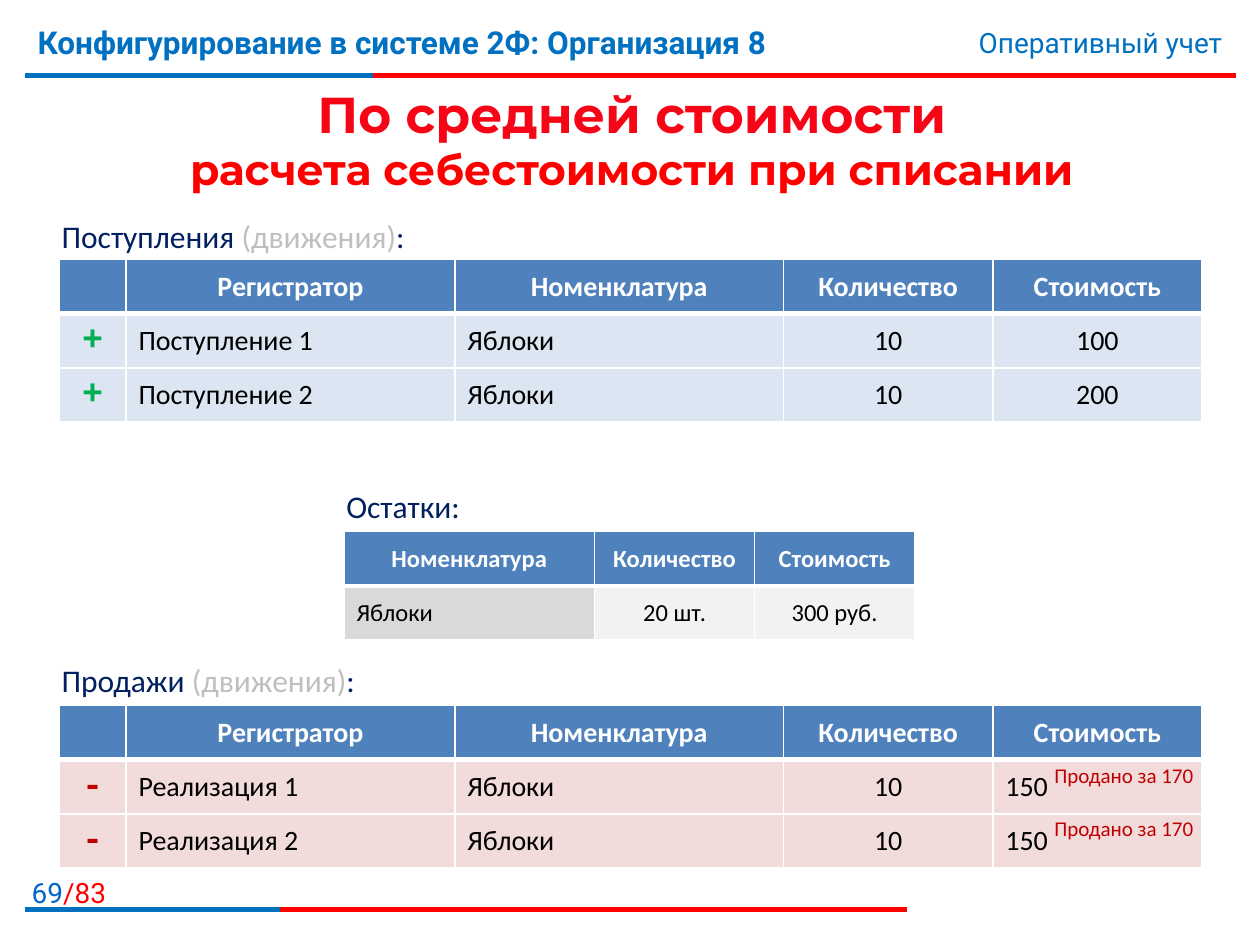
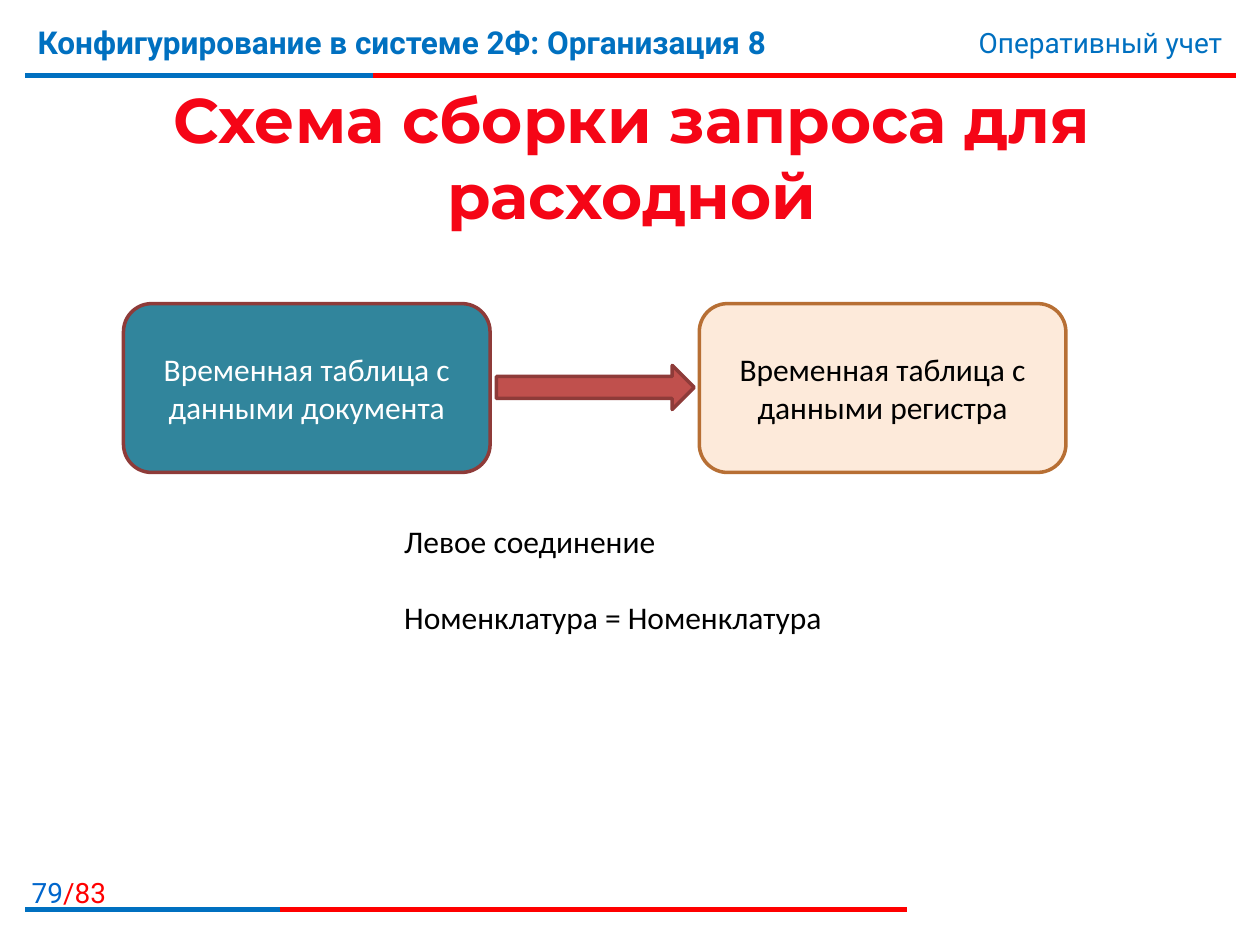
from dataclasses import dataclass
from typing import NamedTuple

import lxml.etree
import pptx
import pptx.dml.color
import pptx.enum.shapes
import pptx.enum.text
import pptx.oxml.ns
import pptx.util

Inches, Pt = pptx.util.Inches, pptx.util.Pt
Shape = pptx.enum.shapes.MSO_SHAPE
Align = pptx.enum.text.PP_ALIGN
Anchor = pptx.enum.text.MSO_ANCHOR
qn = pptx.oxml.ns.qn

WHITE, BLACK = "FFFFFF", "000000"
RED, BLUE, PAGE_BLUE = "FF0000", "0070C0", "0066CC"
TITLE_RED, DARK_RED, GREEN = "F50516", "C00000", "00B050"
NAVY, GREY = "002060", "BFBFBF"
TABLE_BLUE, BORDER_RED = "4F81BD", "8E3B39"
BODY, HEAD, TITLE, MARK = "Calibri", "Roboto", "Montserrat", "Courier New"
PAGE_COUNT = 83


class Box(NamedTuple):
    left: float
    top: float
    width: float
    height: float

    def lengths(self) -> list:
        return [Inches(v) for v in self]


class Style(NamedTuple):
    size: float
    color: str = BLACK
    font: str = BODY
    bold: bool = False


class Rule(NamedTuple):
    y: float
    blue_end: float
    red_end: float


@dataclass
class Register:
    """A table with its caption; a leading sign column is used when sign is set."""
    caption: str
    note: str
    caption_box: Box
    left: float
    top: float
    widths: list
    size: float
    header: list
    rows: list
    fills: list
    centred: set
    sign: str = ""
    sign_color: str = BLACK


@dataclass
class Node:
    text: str
    left: float
    fill: str
    line: str
    color: str


RULES = [Rule(0.6, 2.96, 9.81), Rule(7.22, 2.22, 7.2)]
RULE_LEFT = 0.2
ROW_HEIGHT = 0.43
MOVE_WIDTHS = [0.53, 2.61, 2.61, 1.66, 1.66]
MOVE_HEADER = ["", "Регистратор", "Номенклатура", "Количество", "Стоимость"]

REGISTERS = [
    Register("Поступления", "(движения)", Box(0.39, 1.67, 2.95, 0.4), 0.47, 2.06,
             MOVE_WIDTHS, 16, MOVE_HEADER,
             [["+", "Поступление 1", "Яблоки", "10", "100"],
              ["+", "Поступление 2", "Яблоки", "10", "200"]],
             ["DCE6F2"] * 5, {0, 3, 4}, "+", GREEN),
    Register("Остатки", "", Box(2.65, 3.82, 1.11, 0.4), 2.73, 4.22,
             [1.99, 1.27, 1.27], 14, MOVE_HEADER[2:],
             [["Яблоки", "20 шт.", "300 руб."]],
             ["D9D9D9", "F2F2F2", "F2F2F2"], {1, 2}),
    Register("Продажи", "(движения)", Box(0.39, 5.2, 2.56, 0.4), 0.47, 5.6,
             MOVE_WIDTHS, 16, MOVE_HEADER,
             [["-", "Реализация 1", "Яблоки", "10", "150"],
              ["-", "Реализация 2", "Яблоки", "10", "150"]],
             ["F2DCDB"] * 5, {0, 3}, "-", DARK_RED),
]

NODES = [
    Node("Временная таблица с данными документа", 0.98, "31859C", BORDER_RED, WHITE),
    Node("Временная таблица с данными регистра", 5.55, "FDEADA", "B76F34", BLACK),
]


def rgb(color: str) -> pptx.dml.color.RGBColor:
    return pptx.dml.color.RGBColor.from_string(color)


def set_font(font, style: Style) -> None:
    font.size = Pt(style.size)
    font.name = style.font
    font.bold = style.bold
    font.color.rgb = rgb(style.color)


def write(p, text: str, style: Style, align=Align.LEFT) -> None:
    p.text = text
    p.alignment = align
    set_font(p.font, style)


def add_run(p, text: str, style: Style) -> None:
    r = p.add_run()
    r.text = text
    set_font(r.font, style)


def add_box(slide, box: Box, wrap: bool = True, anchor=Anchor.TOP):
    """Add an empty text box and return its text frame."""
    tf = slide.shapes.add_textbox(*box.lengths()).text_frame
    tf.word_wrap = wrap
    tf.vertical_anchor = anchor
    return tf


def add_label(slide, box: Box, text: str, style: Style, align=Align.LEFT,
              wrap: bool = True) -> None:
    write(add_box(slide, box, wrap).paragraphs[0], text, style, align)


def add_line(slide, end: float, y: float, color: str) -> None:
    line = slide.shapes.add_connector(
        pptx.enum.shapes.MSO_CONNECTOR.STRAIGHT,
        Inches(RULE_LEFT), Inches(y), Inches(end), Inches(y))
    line.line.color.rgb = rgb(color)
    line.line.width = Pt(3)
    lxml.etree.SubElement(line._element.spPr, qn("a:effectLst"))


def add_shape(slide, kind, box: Box, fill: str, line: str):
    sp = slide.shapes.add_shape(kind, *box.lengths())
    sp.shadow.inherit = False
    sp.fill.solid()
    sp.fill.fore_color.rgb = rgb(fill)
    sp.line.color.rgb = rgb(line)
    sp.line.width = Pt(2)
    return sp


def add_base_slide(prs, page: int):
    """Add a slide with the header, the two-colour rules and the page number."""
    slide = prs.slides.add_slide(prs.slide_layouts[6])
    for rule in RULES:
        add_line(slide, rule.red_end, rule.y, RED)
        add_line(slide, rule.blue_end, rule.y, BLUE)
    p = add_box(slide, Box(0, 6.9, 0.94, 0.32)).paragraphs[0]
    p.alignment = Align.RIGHT
    add_run(p, str(page), Style(16, PAGE_BLUE, HEAD))
    add_run(p, f"/{PAGE_COUNT}", Style(16, RED, HEAD))
    add_label(slide, Box(0.2, 0.13, 7.4, 0.62),
              "Конфигурирование в системе 2Ф: Организация 8",
              Style(18, BLUE, HEAD, True))
    add_label(slide, Box(5.94, 0.15, 3.86, 0.37), "Оперативный учет",
              Style(16, BLUE, HEAD), Align.RIGHT)
    return slide


def add_title(slide, box: Box, lines: list) -> None:
    p = add_box(slide, box, anchor=Anchor.MIDDLE).paragraphs[0]
    p.alignment = Align.CENTER
    for i, (text, size, color) in enumerate(lines):
        if i:
            p.add_line_break()
        add_run(p, text, Style(size, color, TITLE, True))


def set_borders(cell, bottom: float) -> None:
    """Give a cell white borders: 1 pt, with its own width at the bottom."""
    tc_pr = cell._tc.get_or_add_tcPr()
    for i, side in enumerate(("lnL", "lnR", "lnT", "lnB")):
        width = bottom if side == "lnB" else 1
        ln = lxml.etree.Element(qn(f"a:{side}"), w=str(Pt(width)))
        fill = lxml.etree.SubElement(ln, qn("a:solidFill"))
        lxml.etree.SubElement(fill, qn("a:srgbClr"), val=WHITE)
        tc_pr.insert(i, ln)


def fill_cell(cell, text: str, fill: str, style: Style, align, bottom: float) -> None:
    cell.fill.solid()
    cell.fill.fore_color.rgb = rgb(fill)
    cell.vertical_anchor = Anchor.MIDDLE
    write(cell.text_frame.paragraphs[0], text, style, align)
    set_borders(cell, bottom)


def add_register(slide, reg: Register) -> None:
    n_rows = len(reg.rows) + 1
    box = Box(reg.left, reg.top, sum(reg.widths), n_rows * ROW_HEIGHT)
    table = slide.shapes.add_table(n_rows, len(reg.widths), *box.lengths()).table
    for row in table.rows:
        row.height = Inches(ROW_HEIGHT)
    for col, width in enumerate(reg.widths):
        table.columns[col].width = Inches(width)
        fill_cell(table.cell(0, col), reg.header[col], TABLE_BLUE,
                  Style(reg.size, WHITE, bold=True), Align.CENTER, 3)
    for i, values in enumerate(reg.rows, 1):
        for col, value in enumerate(values):
            cell = table.cell(i, col)
            style = Style(reg.size)
            if reg.sign and col == 0:
                style = Style(20, reg.sign_color, MARK, True)
                cell.margin_left = cell.margin_right = 0
                cell.margin_top = cell.margin_bottom = 0
            align = Align.CENTER if col in reg.centred else Align.LEFT
            fill_cell(cell, value, reg.fills[col], style, align, 1)

    caption = Style(18, NAVY)
    if not reg.note:
        add_label(slide, reg.caption_box, f"{reg.caption}:", caption, wrap=False)
        return
    p = add_box(slide, reg.caption_box, wrap=False).paragraphs[0]
    add_run(p, f"{reg.caption} ", caption)
    add_run(p, reg.note, Style(18, GREY))
    add_run(p, ":", caption)


def build_average_cost(prs) -> None:
    slide = add_base_slide(prs, 69)
    add_title(slide, Box(0.23, 0.59, 9.57, 1.02),
              [("По средней стоимости", 28.8, TITLE_RED),
               ("расчета себестоимости при списании", 24.3, RED)])
    for reg in REGISTERS:
        add_register(slide, reg)
    for top in (6, 6.42):
        add_label(slide, Box(8.26, top, 1.32, 0.3), "Продано за 170",
                  Style(12, DARK_RED), Align.CENTER, wrap=False)


def build_query_scheme(prs) -> None:
    slide = add_base_slide(prs, 79)
    add_title(slide, Box(0.21, 0.63, 9.61, 1.22),
              [("Схема сборки запроса для расходной", 36, TITLE_RED)])
    for node in NODES:
        sp = add_shape(slide, Shape.ROUNDED_RECTANGLE,
                       Box(node.left, 2.41, 2.91, 1.34), node.fill, node.line)
        tf = sp.text_frame
        tf.word_wrap = True
        tf.vertical_anchor = Anchor.MIDDLE
        write(tf.paragraphs[0], node.text, Style(18, node.color), Align.CENTER)
    add_shape(slide, Shape.RIGHT_ARROW, Box(3.94, 2.9, 1.57, 0.35),
              "C0504D", BORDER_RED)
    tf = add_box(slide, Box(3.11, 4.09, 3.62, 1.01))
    write(tf.paragraphs[0], "Левое соединение", Style(18))
    p = tf.add_paragraph()
    write(p, "Номенклатура = Номенклатура", Style(18))
    p.space_before = Pt(22)


def main() -> None:
    prs = pptx.Presentation()
    prs.slide_width, prs.slide_height = Inches(10), Inches(7.5)
    build_average_cost(prs)
    build_query_scheme(prs)
    prs.save("out.pptx")


if __name__ == "__main__":
    main()
